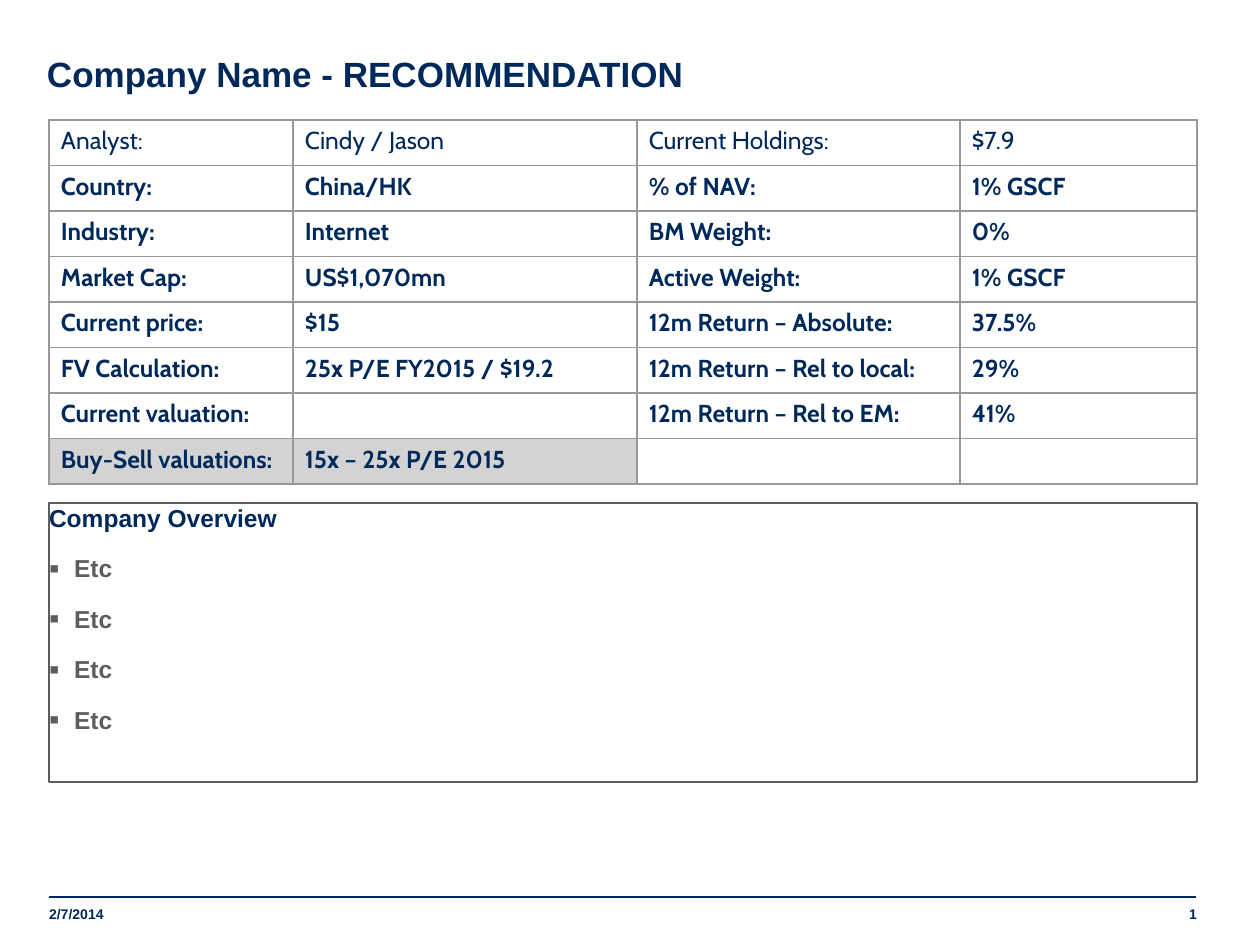
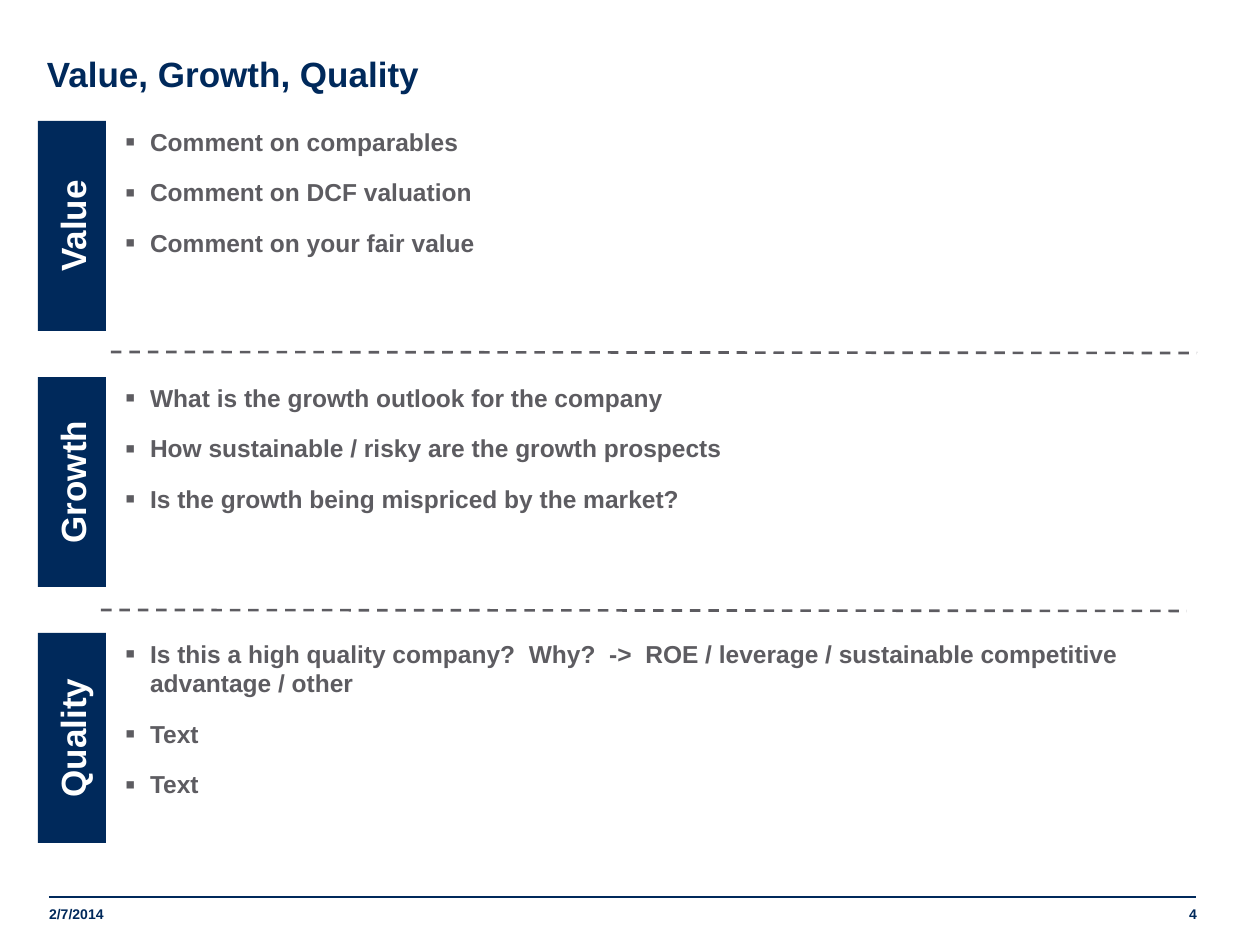
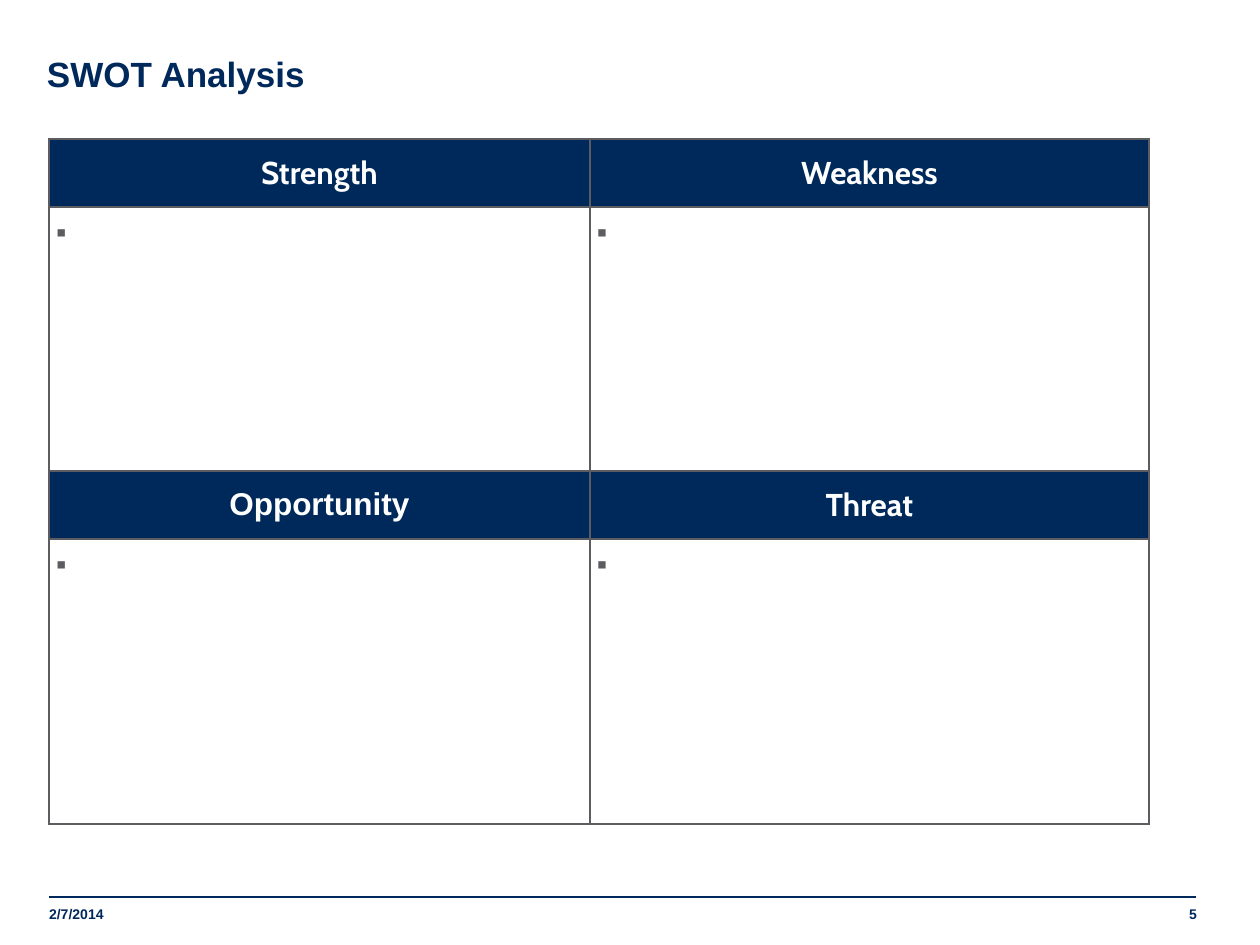
from lxml.etree import SubElement
from pptx import Presentation
from pptx.dml.color import RGBColor
from pptx.enum.dml import MSO_LINE
from pptx.enum.shapes import MSO_CONNECTOR, MSO_SHAPE
from pptx.enum.text import MSO_ANCHOR as ANCHOR, MSO_AUTO_SIZE, PP_ALIGN as ALIGN
from pptx.oxml.ns import qn
from pptx.util import Pt

COLORS = {"navy": "00295B", "gray": "5D5C61", "border": "98989C",
          "shade": "D3D3D3", "white": "FFFFFF"}
TITLE_ONLY, TITLE_AND_BODY = 5, 1
DATE = "2/7/2014"

FACTS = [
    ("Analyst:", "Cindy / Jason", "Current Holdings:", "$7.9"),
    ("Country:", "China/HK", "% of NAV:", "1% GSCF"),
    ("Industry:", "Internet", "BM Weight:", "0%"),
    ("Market Cap:", "US$1,070mn", "Active Weight:", "1% GSCF"),
    ("Current price:", "$15", "12m Return – Absolute:", "37.5%"),
    ("FV Calculation:", "25x P/E FY2015 / $19.2", "12m Return – Rel to local:", "29%"),
    ("Current valuation:", "", "12m Return – Rel to EM:", "41%"),
    ("Buy-Sell valuations:", "15x – 25x P/E 2015", "", ""),
]
OVERVIEW = ("Company Overview", ["Etc"] * 4)
THEMES = [
    ("Value", ["Comment on comparables", "Comment on DCF valuation",
               "Comment on your fair value"]),
    ("Growth", ["What is the growth outlook for the company",
                "How sustainable / risky are the growth prospects",
                "Is the growth being mispriced by the market?"]),
    ("Quality", ["Is this a high quality company?  Why?  ->  ROE / leverage / "
                 "sustainable competitive advantage / other", "Text", "Text"]),
]
DIVIDERS = [(111, 352, 1197, 353), (101, 610, 1187, 611)]
SWOT = [("Strength", "Weakness"), ("Opportunity", "Threat")]


def px(length):
    return round(length * 914400 / 126)


def rgb(name):
    return RGBColor.from_string(COLORS[name])


def set_all(target, values):
    for name, value in values.items():
        setattr(target, name, value)


def set_frame(frame, insets=(13, 6, 13, 6), anchor=ANCHOR.TOP):
    """Insets run left, top, right, bottom."""
    sides = ("margin_left", "margin_top", "margin_right", "margin_bottom")
    set_all(frame, {"word_wrap": True, "auto_size": MSO_AUTO_SIZE.NONE,
                    "vertical_anchor": anchor, **dict(zip(sides, map(px, insets)))})


def write(paragraph, text, size, color, bold=True, font="Arial", align=ALIGN.LEFT):
    set_all(paragraph, {"alignment": align, "space_before": Pt(0)})
    if not text:
        SubElement(paragraph._p, qn("a:endParaRPr"), sz=str(size * 100))
        return
    run = paragraph.add_run()
    run.text = text
    set_all(run.font, {"size": Pt(size), "bold": bold, "name": font})
    run.font.color.rgb = rgb(color)


def set_bullet(paragraph, bulleted=True):
    paragraph.space_after = Pt(12)
    properties = paragraph._p.get_or_add_pPr()
    indent = px(25) if bulleted else 0
    properties.set("marL", str(indent))
    properties.set("indent", str(-indent))
    if not bulleted:
        SubElement(properties, qn("a:buNone"))
        return
    color = SubElement(properties, qn("a:buClr"))
    SubElement(color, qn("a:srgbClr"), val=COLORS["gray"])
    SubElement(properties, qn("a:buSzPct"), val="120000")
    SubElement(properties, qn("a:buFont"), typeface="Arial")
    SubElement(properties, qn("a:buChar"), char="▪")


def add_bullets(frame, items):
    """Fill the first paragraph if it is free, then add one for each item."""
    for item in items:
        first = frame.paragraphs[0]
        paragraph = frame.add_paragraph() if first.runs else first
        write(paragraph, item, 14, "gray")
        set_bullet(paragraph)


def add_text_box(slide, box):
    return slide.shapes.add_textbox(*map(px, box)).text_frame


def add_line(slide, ends, color, width, dash=None):
    line = slide.shapes.add_connector(MSO_CONNECTOR.STRAIGHT, *map(px, ends))
    line.line.color.rgb = rgb(color)
    set_all(line.line, {"width": Pt(width), "dash_style": dash})
    SubElement(line._element.spPr, qn("a:effectLst"))


def add_slide(presentation, layout, title, number):
    slide = presentation.slides.add_slide(presentation.slide_layouts[layout])
    heading = slide.shapes.title
    place(heading, (47, 52, 861, 52))
    set_frame(heading.text_frame, (0, 0, 0, 6))
    write(heading.text_frame.paragraphs[0], title, 20, "navy")

    add_line(slide, (49, 897, 1196, 897), "navy", 1)
    footers = [
        (DATE, (49, 910, 273, 13), (0, 0, 0, 6), ALIGN.LEFT),
        (str(number), (1176, 897, 21, 33), (0, 6, 0, 6), ALIGN.RIGHT),
    ]
    for text, box, insets, align in footers:
        frame = add_text_box(slide, box)
        set_frame(frame, insets, ANCHOR.MIDDLE)
        write(frame.paragraphs[0], text, 8, "navy", align=align)
    return slide


def place(shape, box):
    set_all(shape, dict(zip(("left", "top", "width", "height"), map(px, box))))


def add_table(slide, left, top, widths, heights, border):
    box = (left, top, sum(widths), sum(heights))
    table = slide.shapes.add_table(len(heights), len(widths), *map(px, box)).table
    set_all(table, {"first_row": False, "horz_banding": False})
    for column, width in zip(table.columns, widths):
        column.width = px(width)
    for row, height in zip(table.rows, heights):
        row.height = px(height)
    for cell in table.iter_cells():
        cell.fill.background()
        set_borders(cell, border)
    return table


def set_borders(cell, color):
    properties = cell._tc.get_or_add_tcPr()
    for index, side in enumerate(("lnL", "lnR", "lnT", "lnB")):
        line = SubElement(properties, qn(f"a:{side}"), w=str(Pt(1)))
        fill = SubElement(line, qn("a:solidFill"))
        SubElement(fill, qn("a:srgbClr"), val=COLORS[color])
        properties.insert(index, line)


def fill_shape(target, color):
    target.fill.solid()
    target.fill.fore_color.rgb = rgb(color)


def set_cell_insets(cell, left, top, right, bottom):
    set_all(cell, {"margin_left": px(left), "margin_top": px(top),
                   "margin_right": px(right), "margin_bottom": px(bottom)})


def build_recommendation(presentation):
    slide = add_slide(presentation, TITLE_AND_BODY, "Company Name - RECOMMENDATION", 1)
    body = slide.placeholders[1]
    place(body, (49, 503, 1148, 279))
    body.line.color.rgb = rgb("gray")
    body.line.width = Pt(0.75)
    frame = body.text_frame
    set_frame(frame, (0, 0, 0, 0))
    heading, items = OVERVIEW
    write(frame.paragraphs[0], heading, 14, "navy")
    set_bullet(frame.paragraphs[0], bulleted=False)
    add_bullets(frame, items)

    heights = [364 / len(FACTS)] * len(FACTS)
    table = add_table(slide, 49, 120, (244, 344, 323, 237), heights, "border")
    for row, facts in enumerate(FACTS):
        for column, text in enumerate(facts):
            cell = table.cell(row, column)
            set_cell_insets(cell, 12, 6, 12, 6)
            write(cell.text_frame.paragraphs[0], text, 14, "navy", row > 0, "Cabin")
            if row == len(FACTS) - 1 and text:
                fill_shape(cell, "shade")


def build_themes(presentation):
    slide = add_slide(presentation, TITLE_ONLY, "Value, Growth, Quality", 4)
    for index, (name, items) in enumerate(THEMES):
        top = 121 + 256 * index
        tag = slide.shapes.add_shape(MSO_SHAPE.RECTANGLE, *map(px, (38, top, 68, 210)))
        tag.shadow.inherit = False
        fill_shape(tag, "navy")
        tag.line.fill.background()
        set_frame(tag.text_frame)
        tag.text_frame._txBody.bodyPr.set("vert", "vert270")
        write(tag.text_frame.paragraphs[0], name, 20, "white", align=ALIGN.CENTER)

        frame = add_text_box(slide, (112, top, 1080, 210))
        set_frame(frame)
        add_bullets(frame, items)
    for ends in DIVIDERS:
        add_line(slide, ends, "gray", 1.5, MSO_LINE.DASH)


def build_swot(presentation):
    slide = add_slide(presentation, TITLE_ONLY, "SWOT Analysis", 5)
    table = add_table(slide, 49, 139, (541, 559), (68, 264, 68, 285), "gray")
    for pair, names in enumerate(SWOT):
        for column, name in enumerate(names):
            header = table.cell(2 * pair, column)
            fill_shape(header, "navy")
            set_cell_insets(header, 0, 0, 0, 0)
            header.vertical_anchor = ANCHOR.MIDDLE
            font = "Arial" if name == "Opportunity" else "Cabin"
            write(header.text_frame.paragraphs[0], name, 18, "white",
                  font=font, align=ALIGN.CENTER)

            content = table.cell(2 * pair + 1, column)
            set_cell_insets(content, 7, 12, 7, 6)
            add_bullets(content.text_frame, [" "])


def main():
    presentation = Presentation()
    set_all(presentation, {"slide_width": px(1260), "slide_height": px(945)})
    for build in (build_recommendation, build_themes, build_swot):
        build(presentation)
    presentation.save("out.pptx")


if __name__ == "__main__":
    main()
